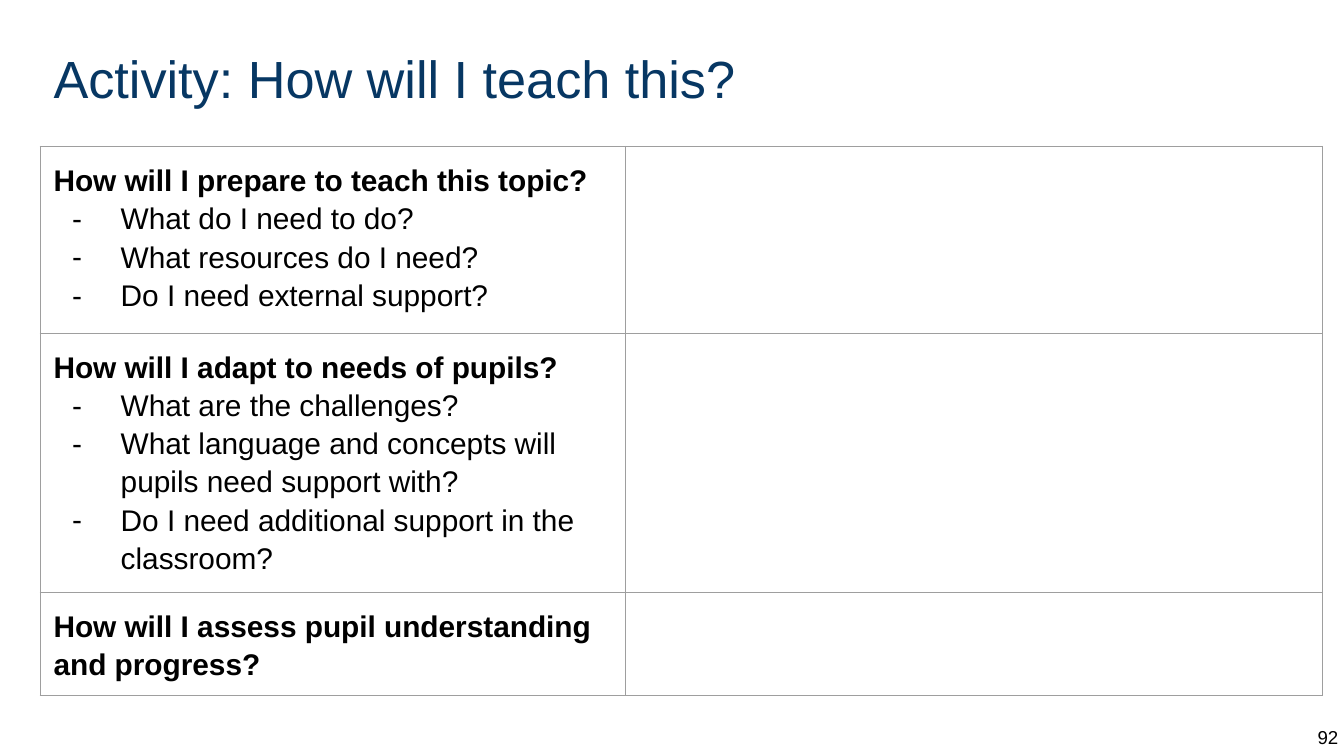
import pptx
import pptx.dml.color
import pptx.enum.text
import pptx.oxml
import pptx.util
from lxml import etree

Pt = pptx.util.Pt
FONT = "Arial"
INSET = 7.2
COLOURS = {"title": "073763", "text": "000000", "border": "9E9E9E"}
QUESTIONS = [
    ("How will I prepare to teach this topic?",
     ["What do I need to do?", "What resources do I need?", "Do I need external support?"]),
    ("How will I adapt to needs of pupils?",
     ["What are the challenges?",
      "What language and concepts will pupils need support with?",
      "Do I need additional support in the classroom?"]),
    ("How will I assess pupil understanding and progress?", []),
]


def add_run(paragraph, text, size, colour, bold=False):
    run = paragraph.add_run()
    run.text = text
    run.font.name = FONT
    run.font.size = Pt(size)
    run.font.bold = bold
    run.font.color.rgb = pptx.dml.color.RGBColor.from_string(COLOURS[colour])


def set_insets(target):
    target.margin_left = target.margin_right = Pt(INSET)
    target.margin_top = target.margin_bottom = Pt(INSET)


def set_frame(frame, anchor):
    set_insets(frame)
    frame.word_wrap = True
    frame.auto_size = pptx.enum.text.MSO_AUTO_SIZE.NONE
    frame.vertical_anchor = anchor


def add_dash(paragraph):
    properties = paragraph._p.get_or_add_pPr()
    properties.set("marL", str(Pt(36)))
    properties.set("indent", str(-Pt(26)))
    colour = etree.SubElement(properties, pptx.oxml.ns.qn("a:buClr"))
    etree.SubElement(colour, pptx.oxml.ns.qn("a:srgbClr"), val=COLOURS["text"])
    etree.SubElement(properties, pptx.oxml.ns.qn("a:buFont"), typeface=FONT)
    etree.SubElement(properties, pptx.oxml.ns.qn("a:buChar"), char="-")


def set_borders(cell):
    properties = cell._tc.get_or_add_tcPr()
    for position, side in enumerate(("lnL", "lnR", "lnT", "lnB")):
        line = etree.Element(pptx.oxml.ns.qn(f"a:{side}"), w=str(Pt(0.75)))
        fill = etree.SubElement(line, pptx.oxml.ns.qn("a:solidFill"))
        etree.SubElement(fill, pptx.oxml.ns.qn("a:srgbClr"), val=COLOURS["border"])
        properties.insert(position, line)


def place_title(slide, left, top, width, height):
    title = slide.shapes.title
    title.left, title.top, title.width, title.height = Pt(left), Pt(top), Pt(width), Pt(height)
    set_frame(title.text_frame, pptx.enum.text.MSO_ANCHOR.TOP)
    paragraph = title.text_frame.paragraphs[0]
    paragraph.alignment = pptx.enum.text.PP_ALIGN.LEFT
    add_run(paragraph, "Activity: How will I teach this?", 28, "title")


def fill_question(cell, heading, prompts):
    paragraph = cell.text_frame.paragraphs[0]
    paragraph.line_spacing = 1.15
    add_run(paragraph, heading, 16, "text", bold=True)
    for prompt in prompts:
        paragraph = cell.text_frame.add_paragraph()
        paragraph.line_spacing = 1.15
        add_dash(paragraph)
        add_run(paragraph, prompt, 16, "text")


def place_questions(slide, left, top, column_widths, row_heights):
    table = slide.shapes.add_table(
        len(row_heights), len(column_widths), Pt(left), Pt(top),
        Pt(sum(column_widths)), Pt(sum(row_heights))).table
    table.first_row = table.horz_banding = False
    for column, width in zip(table.columns, column_widths):
        column.width = Pt(width)
    for row, height in zip(table.rows, row_heights):
        row.height = Pt(height)
    for cell in table.iter_cells():
        set_insets(cell)
        cell.fill.background()
        set_borders(cell)
    for index, (heading, prompts) in enumerate(QUESTIONS):
        fill_question(table.cell(index, 0), heading, prompts)


def place_page_number(slide, left, top, width, height):
    box = slide.shapes.add_textbox(Pt(left), Pt(top), Pt(width), Pt(height))
    set_frame(box.text_frame, pptx.enum.text.MSO_ANCHOR.MIDDLE)
    paragraph = box.text_frame.paragraphs[0]
    paragraph.alignment = pptx.enum.text.PP_ALIGN.RIGHT
    add_run(paragraph, "92", 10, "text")


def main():
    presentation = pptx.Presentation()
    presentation.slide_width, presentation.slide_height = Pt(720), Pt(405)
    slide = presentation.slides.add_slide(presentation.slide_layouts[5])
    place_title(slide, 21.5, 17.5, 610.5, 45.5)
    place_page_number(slide, 681, 379.5, 43, 31)
    place_questions(slide, 21.5, 78.5, [313.5, 373.5], [100, 139, 55])
    presentation.save("out.pptx")


if __name__ == "__main__":
    main()
